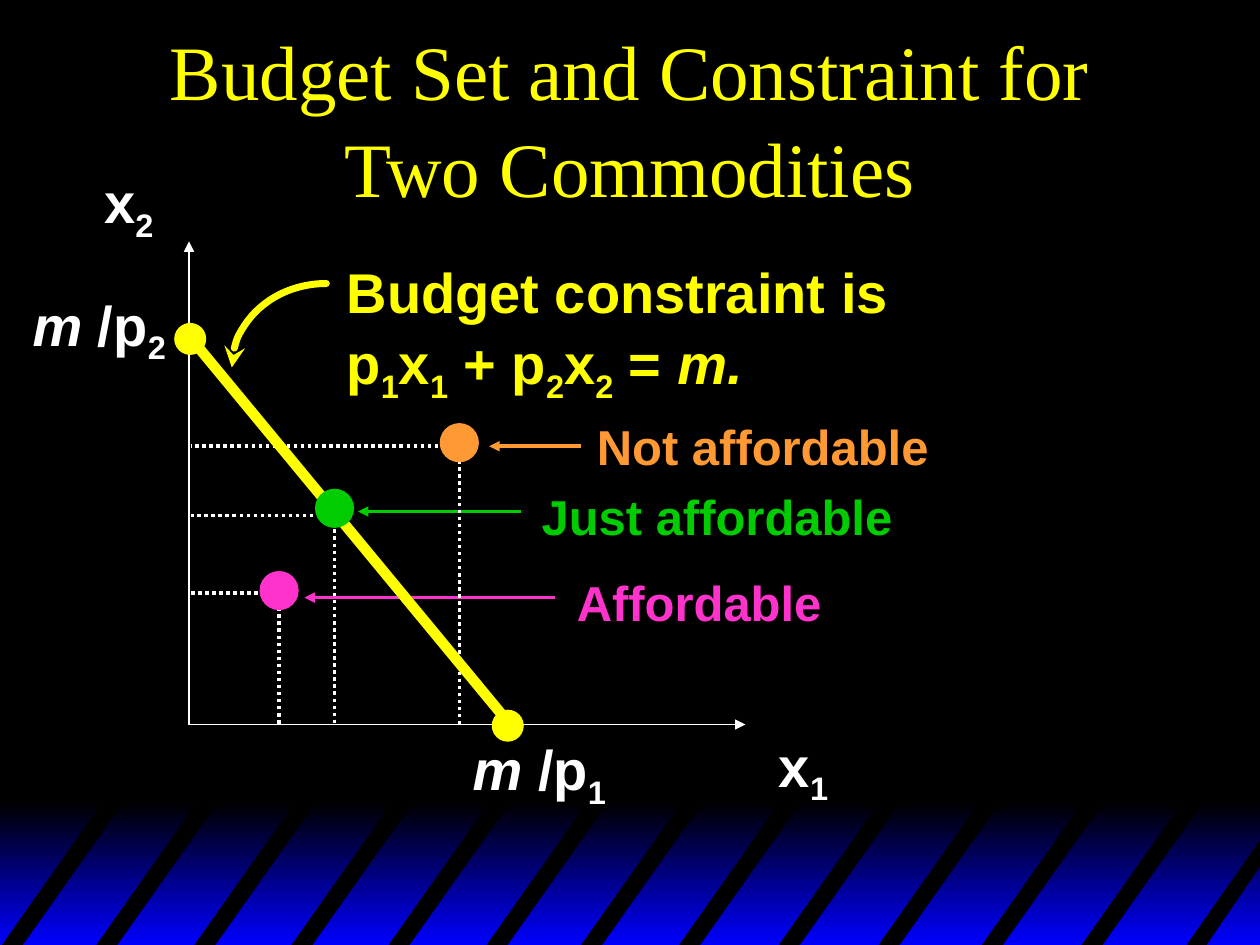
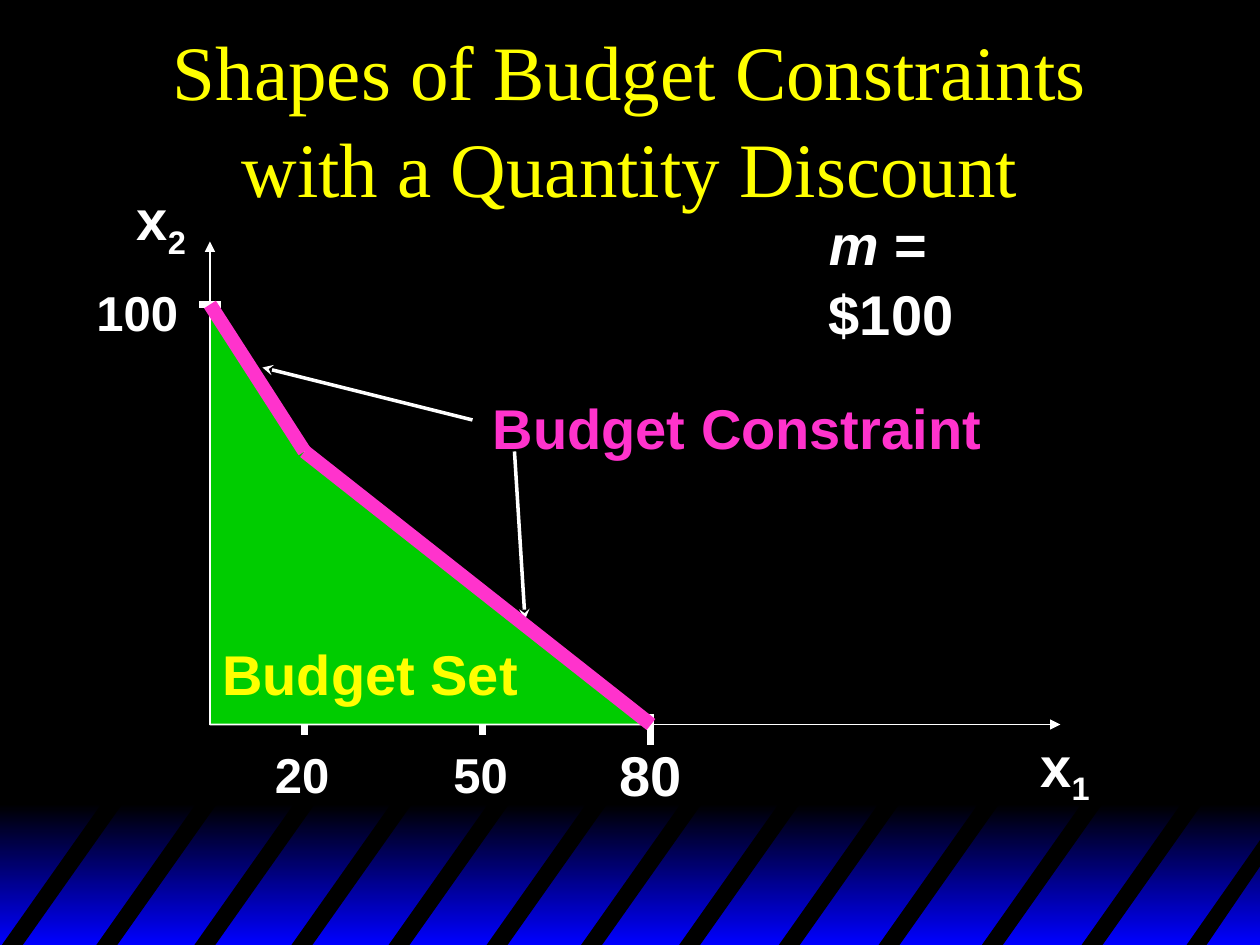
from lxml import etree
from pptx import Presentation
from pptx.dml.color import RGBColor
from pptx.enum.dml import MSO_LINE
from pptx.enum.shapes import MSO_CONNECTOR, MSO_SHAPE
from pptx.enum.text import MSO_ANCHOR, MSO_AUTO_SIZE, PP_ALIGN
from pptx.oxml.ns import qn
from pptx.util import Pt

STRAIGHT = MSO_CONNECTOR.STRAIGHT
OVAL, RECT, ARC = MSO_SHAPE.OVAL, MSO_SHAPE.RECTANGLE, MSO_SHAPE.ARC
DOTTED = MSO_LINE.ROUND_DOT
LEFT, CENTER = PP_ALIGN.LEFT, PP_ALIGN.CENTER
MIDDLE, NO_FIT = MSO_ANCHOR.MIDDLE, MSO_AUTO_SIZE.NONE

BLACK, WHITE, BLUE = "000000", "FFFFFF", "0000FF"
YELLOW, PINK, GREEN, ORANGE = "FFFF00", "FF33CC", "00CC00", "FF9933"
STRIPE_LEFTS = (0, 54, 110, 165.5, 221, 277, 331, 387, 444, 501, 560, 617)
STRIPE_TOP, STRIPE_BOTTOM, STRIPE_RUN, STRIPE_WIDTH = 456.5, 541.5, 60, 12
AXIS_TOP, AXIS_BASE = 138, 414


def rgb(color):
    """Turn a hex string into a colour."""
    return RGBColor.from_string(color)


def points(*values):
    """Turn numbers into point lengths."""
    return [Pt(v) for v in values]


def write_text(tf, paragraphs, size=32, color=WHITE, font="Arial", bold=True, align=LEFT):
    """Fill a frame from lists of runs, where _ marks a subscript and * an italic."""
    for i, runs in enumerate(paragraphs):
        p = tf.add_paragraph() if i else tf.paragraphs[0]
        p.alignment, p.line_spacing = align, 1.05
        for text in runs:
            r = p.add_run()
            r.text = text.lstrip("_*")
            r.font.size, r.font.name, r.font.bold = Pt(size), font, bold
            r.font.italic = text.startswith("*")
            r.font.color.rgb = rgb(color)
            if text.startswith("_"):
                r._r.get_or_add_rPr().set("baseline", "-25000")


class Deck:
    """Hold the presentation, its style and the current slide."""

    def __init__(self):
        """Set up the slide size and the shared background."""
        self.prs = Presentation()
        self.prs.slide_width, self.prs.slide_height = points(720, 540)
        self.layout = self.prs.slide_layouts[5]
        fill = self.layout.background.fill
        fill.solid()
        fill.fore_color.rgb = rgb(BLACK)
        self.s = None

    def slide(self, title):
        """Start a slide with a formatted title."""
        first = self.s is None
        self.s = self.prs.slides.add_slide(self.layout)
        if first:
            self.striped_band()
        sp = self.s.shapes.title
        sp.left, sp.top, sp.width, sp.height = points(54, 18, 612, 96)
        tf = sp.text_frame
        tf.vertical_anchor, tf.auto_size = MIDDLE, NO_FIT
        write_text(tf, [[title]], size=44, color=YELLOW, font="Times New Roman",
                   bold=False, align=CENTER)

    def striped_band(self):
        """Put the striped gradient band on the shared layout."""
        band = self.shape(RECT, 0, 459.5, 721.5, 80.5, BLACK)
        band.fill.gradient()
        band.fill.gradient_angle = 270
        for stop, color in zip(band.fill.gradient_stops, (BLACK, BLUE)):
            stop.color.rgb = rgb(color)
        parts = [band]
        for x in STRIPE_LEFTS:
            top = x + STRIPE_RUN
            parts.append(self.polygon([(x, STRIPE_BOTTOM), (top, STRIPE_TOP),
                                       (top + STRIPE_WIDTH, STRIPE_TOP),
                                       (x + STRIPE_WIDTH, STRIPE_BOTTOM)], BLACK))
        parts.append(self.polygon([(677, STRIPE_BOTTOM), (721.5, 478), (721.5, 493),
                                   (688.5, STRIPE_BOTTOM)], BLACK))
        for sp in parts:
            self.layout.shapes.element.append(sp.element)

    def paint(self, sp, fill=None, line=None, width=1):
        """Set the fill and outline of a shape."""
        sp.shadow.inherit = False
        if fill:
            sp.fill.solid()
            sp.fill.fore_color.rgb = rgb(fill)
        else:
            sp.fill.background()
        if line:
            sp.line.color.rgb, sp.line.width = rgb(line), Pt(width)
        else:
            sp.line.fill.background()
        return sp

    def shape(self, kind, x, y, w, h, fill=None, line=None, width=1):
        """Add a preset shape."""
        sp = self.s.shapes.add_shape(kind, *points(x, y, w, h))
        return self.paint(sp, fill, line, width)

    def dot(self, x, y, size, color, line=None):
        """Add a round marker around a centre."""
        self.shape(OVAL, x - size / 2, y - size / 2, size, size, color, line)

    def polygon(self, corners, fill, line=None):
        """Add a closed outline."""
        corners = [points(*c) for c in corners]
        builder = self.s.shapes.build_freeform(*corners[0])
        builder.add_line_segments(corners[1:], close=True)
        return self.paint(builder.convert_to_shape(), fill, line)

    def arrowhead(self, sp, end, kind):
        """Put an arrowhead on one end of a line."""
        etree.SubElement(sp.line._get_or_add_ln(), qn(f"a:{end}End"), type=kind)

    def line(self, x1, y1, x2, y2, color=WHITE, width=1, dash=None, arrow=None):
        """Add a straight line, with an arrowhead at its end if asked."""
        sp = self.s.shapes.add_connector(STRAIGHT, *points(x1, y1, x2, y2))
        sp.line.color.rgb, sp.line.width = rgb(color), Pt(width)
        if dash:
            sp.line.dash_style = dash
        if arrow:
            self.arrowhead(sp, "tail", arrow)
        etree.SubElement(sp.element.spPr, qn("a:effectLst"))

    def curved_arrow(self, x, y, w, h, color, width):
        """Add a quarter curve from top right to an arrowhead at bottom left."""
        sp = self.shape(ARC, x, y, 2 * w, 2 * h, line=color, width=width)
        sp.adjustments[0], sp.adjustments[1] = 108, 162
        sp.line._get_or_add_ln().set("cap", "rnd")
        self.arrowhead(sp, "head", "stealth")

    def text(self, x, y, w, h, *paragraphs, wrap=True, **style):
        """Add a text box."""
        tf = self.s.shapes.add_textbox(*points(x, y, w, h)).text_frame
        tf.word_wrap = wrap
        write_text(tf, paragraphs, **style)

    def axes(self, x, right):
        """Add both axes from their common origin."""
        self.line(x, AXIS_BASE, x, AXIS_TOP, arrow="triangle")
        self.line(x, AXIS_BASE, right, AXIS_BASE, arrow="triangle")


def two_commodities(d):
    """Build the slide on the budget set for two commodities."""
    d.slide("Budget Set and Constraint for Two Commodities")
    d.axes(108, 426)
    d.text(52.5, 90, 44, 51, ["x", "_2"])
    d.text(438, 412, 48, 51, ["x", "_1"])
    d.text(191, 142, 324, 89, ["Budget constraint is"],
           ["p", "_1", "x", "_1", " + p", "_2", "x", "_2", " = ", "*m."],
           wrap=False, color=YELLOW)
    d.text(263, 414, 97, 51, ["*m ", "/p", "_1"])
    d.text(11.5, 160, 96, 51, ["*m ", "/p", "_2"])
    d.curved_arrow(132.5, 162, 54, 48, YELLOW, 4)

    bundles = [
        ("Affordable", PINK, (159.5, 337.5), 339, (317, 174, 341.5), (322.5, 322, 154)),
        ("Just affordable", GREEN, (191.2, 290.5), 294.5, (298, 204.5, 292.3),
         (302.4, 273, 215)),
        ("Not affordable", ORANGE, (262.5, 253), 255, (332, 279.5, 255), (334, 233, 204)),
    ]
    for label, color, (x, _), level, (start, end, y), box in bundles:
        d.line(x, level, 109, level, width=2, dash=DOTTED)
        d.line(x, level, x, AXIS_BASE, width=2, dash=DOTTED)
        d.line(start, y, end, y, color, 2, arrow="triangle")
        d.text(*box, 41, [label], wrap=False, size=28, color=color)

    d.line(108, 192, 291.5, AXIS_BASE, YELLOW, 6)
    for x, y in ((108.7, 193.7), (290.2, 414.7)):
        d.dot(x, y, 17.3, YELLOW, YELLOW)
    for _, color, center, *_ in bundles:
        d.dot(*center, 22.4, color)


def quantity_discount(d):
    """Build the slide on the constraint with a quantity discount."""
    d.slide("Shapes of Budget Constraints with a Quantity Discount")
    d.text(466.5, 114, 148, 84, ["*m", " = $100"])
    d.axes(120, 606)
    for x, bottom in ((174, 420), (276, 420), (372, 426)):
        d.line(x, 408, x, bottom, width=4)
    d.line(114, 174, 126, 174, width=4)
    d.text(48, 156, 66, 41, ["100"], size=28)
    for label, x in (("20", 150), ("50", 252)):
        d.text(x, 420, 48, 41, [label], size=28)
    d.text(347, 417.5, 50.5, 45.5, ["80"], wrap=False)
    d.text(71, 99.5, 42.5, 51, ["x", "_2"], wrap=False)
    d.text(587.5, 412, 42.5, 51, ["x", "_1"], wrap=False)

    top, kink, end = constraint = [(120, 174), (174, 258), (372, AXIS_BASE)]
    d.polygon(constraint + [(120, AXIS_BASE)], GREEN, WHITE)
    d.line(270, 240, 150, 210, width=2, arrow="stealth")
    d.line(294, 258, 300, 354, width=2, arrow="stealth")
    d.text(120, 360, 194.5, 45.5, ["Budget Set"], color=YELLOW)
    d.text(274.5, 219.5, 294, 45.5, ["Budget Constraint"], wrap=False, color=PINK)
    d.line(*top, *kink, PINK, 8)
    d.line(*kink, *end, PINK, 8)


def main():
    """Build and save the slides."""
    d = Deck()
    two_commodities(d)
    quantity_discount(d)
    d.prs.save("out.pptx")


if __name__ == "__main__":
    main()
